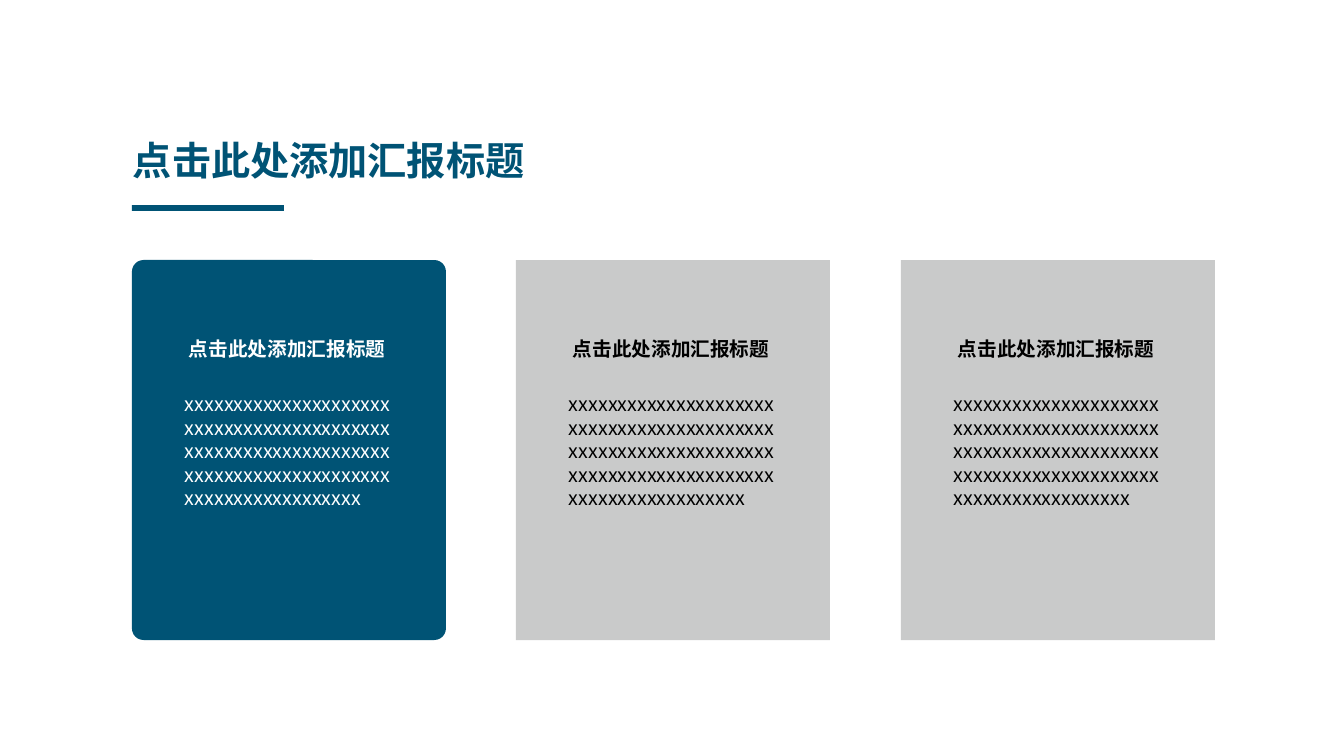
from lxml import etree
from pptx import Presentation
from pptx import util as u
from pptx.dml import color
from pptx.enum import shapes, text
from pptx.oxml import ns

PX = 914400 / 100.8
FONT = "Noto Sans CJK SC"
BLUE, GREY, WHITE, BLACK = "005375", "C9CACA", "FFFFFF", "000000"


def px(length):
    return u.Emu(round(length * PX))


def rgb(value):
    return color.RGBColor.from_string(value)


class Page:
    """Holds the font and the current slide, and draws its elements."""

    def __init__(self, deck, font):
        self.font = font
        self.slide = deck.slides.add_slide(deck.slide_layouts[6])

    def block(self, target, kind, box, fill, radius=None):
        panel = target.add_shape(kind, *map(px, box))
        panel.shadow.inherit = False
        panel.fill.solid()
        panel.fill.fore_color.rgb = rgb(fill)
        panel.line.fill.background()
        if radius is not None:
            panel.adjustments[0] = radius

    def words(self, target, box, content, size, ink, bold=False, spacing=None, grow=False):
        frame = target.add_textbox(*map(px, box)).text_frame
        frame.text = content
        frame.word_wrap = True
        frame.auto_size = text.MSO_AUTO_SIZE.SHAPE_TO_FIT_TEXT if grow else text.MSO_AUTO_SIZE.NONE
        frame.vertical_anchor = text.MSO_ANCHOR.TOP if grow else text.MSO_ANCHOR.MIDDLE
        paragraph = frame.paragraphs[0]
        if spacing:
            paragraph.line_spacing = spacing
        font = paragraph.runs[0].font
        font.size, font.bold, font.name = u.Pt(size), bold, self.font
        font.color.rgb = rgb(ink)
        etree.SubElement(paragraph.runs[0]._r.rPr, ns.qn("a:ea"), typeface=self.font)

    def card(self, left, fill, ink, radius, heading, body):
        group = self.slide.shapes.add_group_shape().shapes
        self.block(group, shapes.MSO_SHAPE.ROUNDED_RECTANGLE, (left, 260, 314, 380), fill, radius)
        self.words(group, (left + 47, 327, 221, 47), heading, 14, ink, bold=True, spacing=0.9)
        self.words(group, (left + 43, 387, 228, 131), body, 14, ink, grow=True)


def main():
    deck = Presentation()
    deck.slide_width, deck.slide_height = px(1344), px(756)
    page = Page(deck, FONT)
    heading = "点击此处添加汇报标题"
    body = "x" * 102
    margin, double_pitch = 132, 769

    page.block(page.slide.shapes, shapes.MSO_SHAPE.RECTANGLE, (margin, 205, 152, 6), BLUE)
    looks = [(BLUE, WHITE, 0.037), (GREY, BLACK, 0), (GREY, BLACK, 0)]
    for index, (fill, ink, radius) in enumerate(looks):
        page.card(margin + index * double_pitch // 2, fill, ink, radius, heading, body)
    page.words(page.slide.shapes, (123, 135, 448, 59), heading, 28, BLUE, bold=True, spacing=0.8)
    deck.save("out.pptx")


if __name__ == "__main__":
    main()
